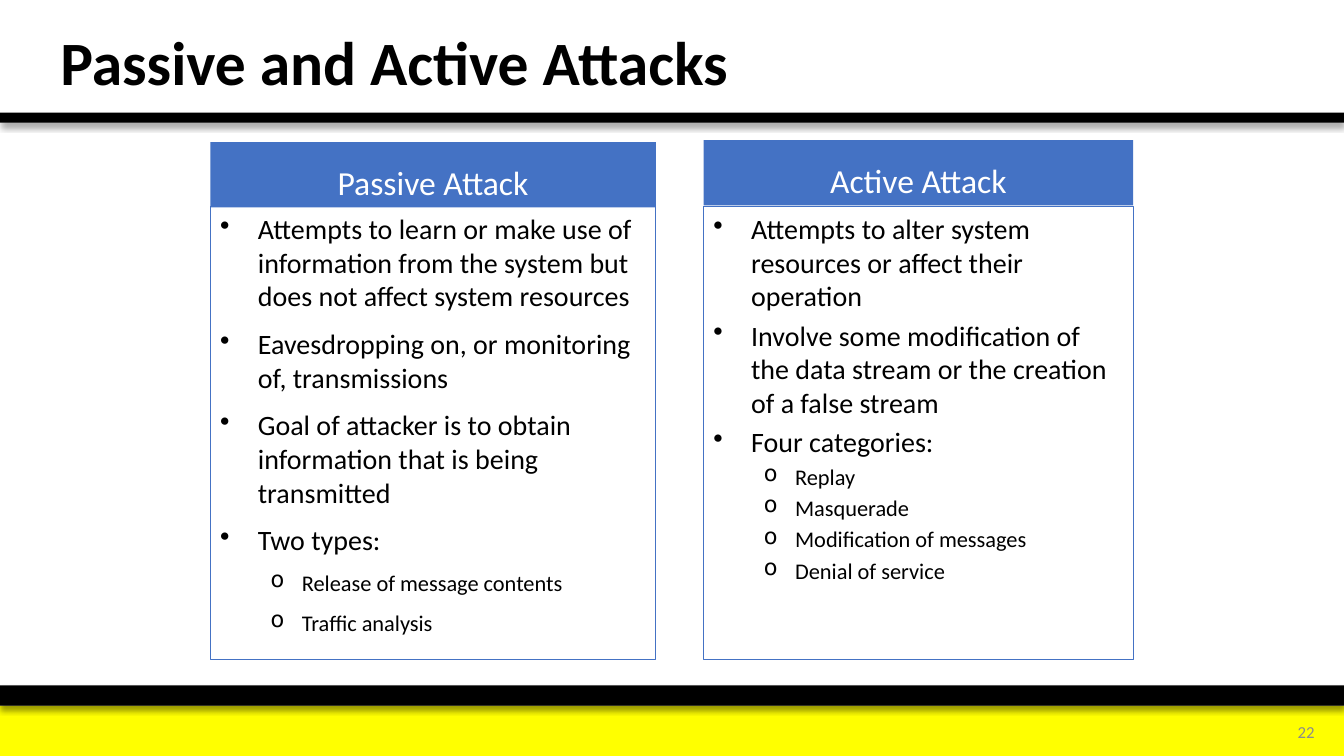
from dataclasses import dataclass

from lxml import etree
from pptx import Presentation
from pptx.dml.color import RGBColor
from pptx.enum.shapes import MSO_SHAPE
from pptx.enum.text import MSO_ANCHOR, PP_ALIGN
from pptx.oxml.ns import qn
from pptx.shapes.autoshape import Shape
from pptx.slide import Slide
from pptx.text.text import TextFrame, _Paragraph
from pptx.util import Cm, Pt

RECT = MSO_SHAPE.RECTANGLE
TOP, MIDDLE, BOTTOM = MSO_ANCHOR.TOP, MSO_ANCHOR.MIDDLE, MSO_ANCHOR.BOTTOM
LEFT, CENTER, RIGHT = PP_ALIGN.LEFT, PP_ALIGN.CENTER, PP_ALIGN.RIGHT


@dataclass(frozen=True)
class Theme:
    font: str = "Calibri"
    black: str = "000000"
    white: str = "FFFFFF"
    blue: str = "4472C4"
    yellow: str = "FFFF00"
    grey: str = "8C8C8C"
    title: float = 44
    head: float = 24
    point: float = 20
    sub: float = 16
    number: float = 12
    lead: float = 0.2  # space before, as a share of the type size


@dataclass(frozen=True)
class Box:
    """Place and size in centimetres."""
    left: float
    top: float
    width: float
    height: float

    def cm(self) -> tuple[Cm, Cm, Cm, Cm]:
        return Cm(self.left), Cm(self.top), Cm(self.width), Cm(self.height)


@dataclass(frozen=True)
class Bar:
    box: Box
    color: str
    shadow: bool


@dataclass(frozen=True)
class Level:
    mark: str
    size: float
    margin: float
    hang: float


@dataclass(frozen=True)
class Panel:
    title: str
    head: Box
    body: Box
    points: tuple[str, ...]
    subs: tuple[str, ...]
    after: float


THEME = Theme()
WIDTH, HEIGHT = 33.87, 19.05
POINT = Level("•", THEME.point, 0.95, 0.95)
SUB = Level("o", THEME.sub, 2.06, 0.79)

BARS = (
    Bar(Box(0, 17.78, WIDTH, 1.27), THEME.yellow, False),
    Bar(Box(0, 17.27, WIDTH, 0.51), THEME.black, True),
    Bar(Box(0, 2.84, WIDTH, 0.25), THEME.black, True),
)

PANELS = (
    Panel(
        "Passive Attack",
        Box(5.3, 3.58, 11.23, 1.65),
        Box(5.3, 5.21, 11.23, 11.42),
        (
            "Attempts to learn or make use of information from the system "
            "but does not affect system resources",
            "Eavesdropping on, or monitoring of, transmissions",
            "Goal of attacker is to obtain information that is being transmitted",
            "Two types:",
        ),
        ("Release of message contents", "Traffic analysis"),
        6,
    ),
    Panel(
        "Active Attack",
        Box(17.73, 3.53, 10.83, 1.65),
        Box(17.73, 5.21, 10.83, 11.42),
        (
            "Attempts to alter system resources or affect their operation",
            "Involve some modification of the data stream or the creation "
            "of a false stream",
            "Four categories:",
        ),
        ("Replay", "Masquerade", "Modification of messages", "Denial of service"),
        0,
    ),
)


def add_rect(slide: Slide, box: Box, fill: str = "", line: str = "") -> Shape:
    rect = slide.shapes.add_shape(RECT, *box.cm())
    rect.shadow.inherit = False
    if fill:
        rect.fill.solid()
        rect.fill.fore_color.rgb = RGBColor.from_string(fill)
    else:
        rect.fill.background()
    if line:
        rect.line.color.rgb = RGBColor.from_string(line)
        rect.line.width = Pt(0.75)
    else:
        rect.line.fill.background()
    return rect


def add_shadow(rect: Shape) -> None:
    effects = rect.element.spPr.find(qn("a:effectLst"))
    outer = etree.SubElement(
        effects, qn("a:outerShdw"), blurRad=str(Pt(4)), dist=str(Pt(3)),
        dir=str(90 * 60000), rotWithShape="0")
    color = etree.SubElement(outer, qn("a:srgbClr"), val=THEME.black)
    etree.SubElement(color, qn("a:alpha"), val="40000")


def style(para: _Paragraph, size: float, color: str,
          align: PP_ALIGN = LEFT, bold: bool = False) -> None:
    para.alignment = align
    font = para.font
    font.name, font.size, font.bold = THEME.font, Pt(size), bold
    font.color.rgb = RGBColor.from_string(color)


def set_frame(frame: TextFrame, anchor: MSO_ANCHOR) -> None:
    frame.word_wrap = True
    frame.vertical_anchor = anchor


def add_label(slide: Slide, box: Box, text: str) -> _Paragraph:
    frame = slide.shapes.add_textbox(*box.cm()).text_frame
    set_frame(frame, MIDDLE)
    para = frame.paragraphs[0]
    para.text = text
    return para


def add_bullet(para: _Paragraph, level: Level) -> None:
    props = para._p.get_or_add_pPr()
    props.set("marL", str(Cm(level.margin)))
    props.set("indent", str(-Cm(level.hang)))
    etree.SubElement(props, qn("a:buChar"), char=level.mark)


def add_panel(slide: Slide, panel: Panel) -> None:
    # Heading
    frame = add_rect(slide, panel.head, fill=THEME.blue).text_frame
    set_frame(frame, BOTTOM)
    head = frame.paragraphs[0]
    head.text = panel.title
    head.space_before = Pt(THEME.head * THEME.lead)
    style(head, THEME.head, THEME.white, CENTER)

    # Bulleted list
    frame = add_rect(slide, panel.body, line=THEME.blue).text_frame
    set_frame(frame, TOP)
    items = [(text, POINT) for text in panel.points]
    items += [(text, SUB) for text in panel.subs]
    for index, (text, level) in enumerate(items):
        para = frame.add_paragraph() if index else frame.paragraphs[0]
        para.text = text
        para.level = int(level is SUB)
        add_bullet(para, level)
        para.space_before = Pt(level.size * THEME.lead)
        para.space_after = Pt(panel.after)
        style(para, level.size, THEME.black)


def main() -> None:
    deck = Presentation()
    deck.slide_width, deck.slide_height = Cm(WIDTH), Cm(HEIGHT)
    slide = deck.slides.add_slide(deck.slide_layouts[6])

    # Bands across the slide
    for bar in BARS:
        rect = add_rect(slide, bar.box, fill=bar.color)
        if bar.shadow:
            add_shadow(rect)

    # Slide number and title
    number = add_label(slide, Box(31.45, 17.93, 1.93, 1.02), "22")
    style(number, THEME.number, THEME.grey, RIGHT)
    title = add_label(slide, Box(1.27, 0.23, 24.59, 2.84), "Passive and Active Attacks")
    title.line_spacing = 0.9
    style(title, THEME.title, THEME.black, bold=True)

    # The two kinds of attack
    for panel in PANELS:
        add_panel(slide, panel)

    deck.save("out.pptx")


if __name__ == "__main__":
    main()
